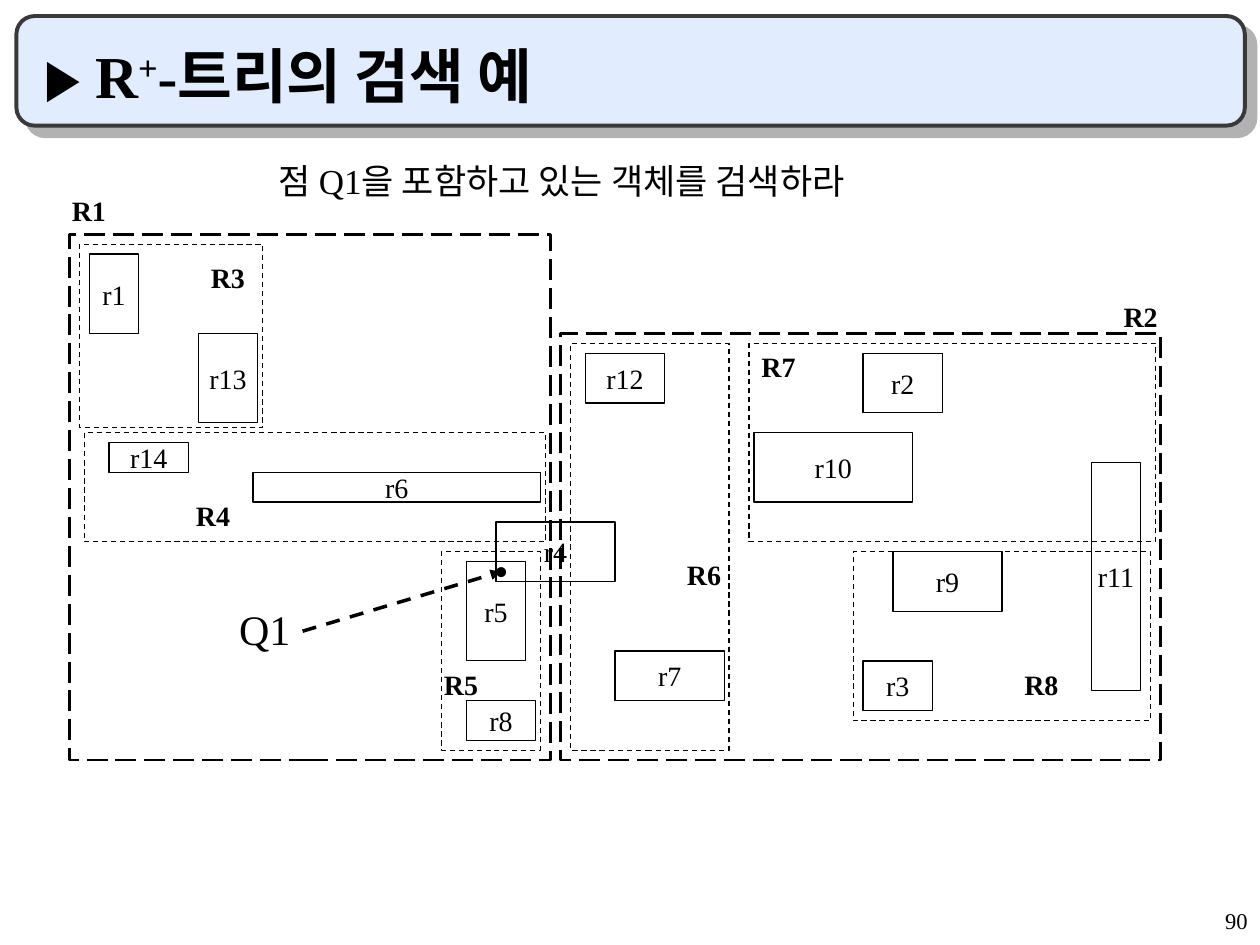
from lxml.etree import SubElement
from pptx import Presentation
from pptx.dml.color import RGBColor
from pptx.enum.dml import MSO_LINE_DASH_STYLE as Dash
from pptx.enum.shapes import MSO_CONNECTOR, MSO_SHAPE as Shape
from pptx.enum.text import MSO_ANCHOR as Anchor, PP_ALIGN as Align
from pptx.oxml import parse_xml
from pptx.oxml.ns import nsdecls, qn
from pptx.util import Inches, Pt

BLACK = RGBColor(0x00, 0x00, 0x00)
BANNER_FILL = RGBColor(0xE1, 0xEC, 0xFF)
BANNER_EDGE = RGBColor(0x39, 0x39, 0x39)
SHADOW = RGBColor(0xB2, 0xB2, 0xB2)

COLUMNS = 127
TOP_SHARE = 0.248

OUTER_REGIONS = [(7, 0, 48.5, 53), (56.5, 10, 60.5, 43)]
INNER_REGIONS = [
    (8, 1, 18.5, 18.5), (8.5, 20, 46.5, 11), (75.5, 11, 41, 20),
    (44.5, 32, 10, 20), (86, 32, 30, 17), (57.5, 11, 16, 41),
]
OBJECTS = {
    "r1": (9, 2, 5, 8), "r13": (20, 10, 6, 9), "r14": (11, 21, 8, 3),
    "r6": (25.5, 24, 29, 3), "r4": (50, 29, 12, 6), "r5": (47, 33, 6, 10),
    "r8": (47, 47, 7, 4), "r7": (62, 42, 11, 5), "r12": (59, 12, 8, 5),
    "r10": (76, 20, 16, 7), "r11": (110, 23, 5, 23), "r3": (87, 43, 7, 5),
    "r9": (90, 32, 11, 6), "r2": (87, 12, 8, 6),
}
REGION_LABELS = {
    "R1": (6, -4.7), "R2": (112, 6), "R3": (20, 2), "R4": (18.5, 26),
    "R7": (75.5, 11), "R6": (68, 32), "R8": (102, 43), "R5": (43.5, 43),
}


class TreeSlide:
    font = "Times New Roman"

    def __init__(self, deck):
        self.slide = deck.slides.add_slide(deck.slide_layouts[6])
        self.width, self.height = deck.slide_width, deck.slide_height
        self.unit = self.width / COLUMNS
        self.top = self.height * TOP_SHARE

    def point(self, column, row):
        return round(column * self.unit), round(self.top + row * self.unit)

    def cells(self, column, row, columns, rows):
        return (*self.point(column, row),
                round(columns * self.unit), round(rows * self.unit))

    def share(self, left, top, width, height):
        return (round(left * self.width), round(top * self.height),
                round(width * self.width), round(height * self.height))

    def style(self, run, size, bold=False):
        run.font.name = self.font
        run.font.size = Pt(size)
        run.font.bold = bold
        run.font.color.rgb = BLACK

    def banner(self, place):
        banner = self.slide.shapes.add_shape(Shape.ROUNDED_RECTANGLE, *place)
        banner.fill.solid()
        banner.fill.fore_color.rgb = BANNER_FILL
        banner.line.color.rgb = BANNER_EDGE
        banner.line.width = Pt(2.25)
        banner._element.spPr.append(parse_xml(
            f'<a:effectLst {nsdecls("a")}><a:outerShdw dist="{Pt(8.5)}" '
            f'dir="2700000" algn="ctr" rotWithShape="0">'
            f'<a:srgbClr val="{SHADOW}"/></a:outerShdw></a:effectLst>'))

    def title(self, place, parts):
        frame = self.slide.shapes.add_textbox(*place).text_frame
        frame.word_wrap = True
        frame.vertical_anchor = Anchor.BOTTOM
        for text, size, baseline in parts:
            run = frame.paragraphs[0].add_run()
            run.text = text
            self.style(run, size, bold=True)
            if baseline:
                run.font._element.set("baseline", str(baseline))

    def text(self, place, words, size, bold=False, align=Align.LEFT,
             spacing=1.0, hanging=False):
        frame = self.slide.shapes.add_textbox(*place).text_frame
        frame.word_wrap = True
        frame.text = words
        paragraph = frame.paragraphs[0]
        paragraph.alignment = align
        paragraph.line_spacing = spacing
        if hanging:
            properties = paragraph._p.get_or_add_pPr()
            properties.set("marL", str(Inches(0.81)))
            properties.set("indent", str(Inches(-0.31)))
        self.style(paragraph.runs[0], size, bold)

    def box(self, place, weight=0.75, dash=None, label=None):
        box = self.slide.shapes.add_shape(Shape.RECTANGLE, *place)
        box.shadow.inherit = False
        box.fill.background()
        box.line.color.rgb = BLACK
        box.line.width = Pt(weight)
        if dash:
            box.line.dash_style = dash
        if label:
            frame = box.text_frame
            frame.word_wrap = False
            frame.vertical_anchor = Anchor.MIDDLE
            frame.text = label
            frame.paragraphs[0].alignment = Align.CENTER
            self.style(frame.paragraphs[0].runs[0], 16)

    def arrow(self, start, end):
        arrow = self.slide.shapes.add_connector(
            MSO_CONNECTOR.STRAIGHT, *self.point(*start), *self.point(*end))
        arrow.line.color.rgb = BLACK
        arrow.line.width = Pt(2)
        arrow.line.dash_style = Dash.DASH
        SubElement(arrow.line._get_or_add_ln(), qn("a:tailEnd"), type="triangle")
        SubElement(arrow._element.spPr, qn("a:effectLst"))


def main():
    deck = Presentation()
    deck.slide_width, deck.slide_height = Inches(10), Inches(7.5)
    page = TreeSlide(deck)

    page.banner(page.share(0.013, 0.017, 0.975, 0.116))
    page.text(page.share(0.792, 0.956, 0.208, 0.044), "90", 12.9,
              align=Align.RIGHT, spacing=0.9)
    page.title(page.share(0.025, 0.033, 0.942, 0.09), [
        ("▶ ", 32, 0), ("R", 34, 0), ("+", 34, 30000), ("-트리의 검색 예", 34, 0)])

    for region in OUTER_REGIONS:
        page.box(page.cells(*region), weight=1.5, dash=Dash.LONG_DASH)
    for region in INNER_REGIONS:
        page.box(page.cells(*region), dash=Dash.DASH)
    for label, place in OBJECTS.items():
        page.box(page.cells(*place), label=label)
    for label, corner in REGION_LABELS.items():
        page.text(page.cells(*corner, 6, 4.7), label, 16, bold=True)

    page.text(page.cells(20.5, -7, 83, 4.3), "점 Q1을 포함하고 있는 객체를 검색하라", 20,
              spacing=0.7, hanging=True)
    page.text(page.cells(43.5, 32, 9, 4.8), "•", 24, align=Align.RIGHT, spacing=0.7)
    page.text(page.cells(16.5, 38, 19, 4.8), "Q1", 24, spacing=0.7, hanging=True)
    page.arrow((30.5, 40), (50.5, 34))

    deck.save("out.pptx")


if __name__ == "__main__":
    main()
